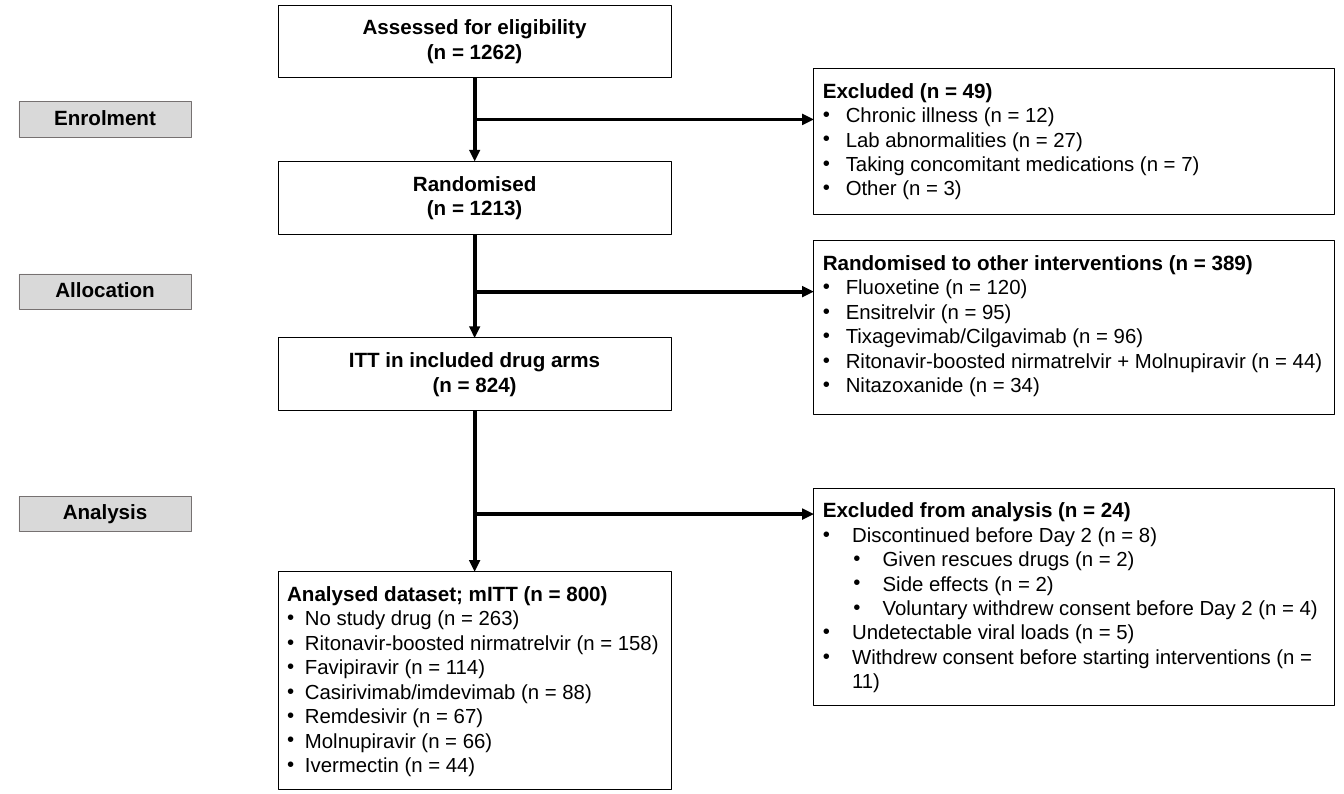
"""Build a trial flow diagram from eligibility to the analysed dataset."""
from lxml.etree import SubElement
from pptx import Presentation
from pptx.dml.color import RGBColor
from pptx.enum.shapes import MSO_CONNECTOR, MSO_SHAPE
from pptx.enum.text import MSO_ANCHOR, PP_ALIGN
from pptx.oxml.ns import qn
from pptx.util import Pt

COLOURS = {"ink": "000000", "paper": "FFFFFF", "stage": "D9D9D9", "stage_edge": "767171"}
SPINE_LEFT, SPINE_WIDTH = 327.6, 463.6
SPINE_CENTRE = SPINE_LEFT + SPINE_WIDTH / 2
SIDE_LEFT, SIDE_WIDTH = 959, 613.4
BULLET_STEP = 36

deck = Presentation()
deck.slide_width, deck.slide_height = Pt(1584), Pt(936)
slide = deck.slides.add_slide(deck.slide_layouts[6])


def add_box(left, top, width, height, headings, items=(), indent=0,
            fill="paper", edge="ink", inset=(10.8, 10.8)):
    box = slide.shapes.add_shape(MSO_SHAPE.RECTANGLE, Pt(left), Pt(top), Pt(width), Pt(height))
    box.shadow.inherit = False
    box.fill.solid()
    box.fill.fore_color.rgb = RGBColor.from_string(COLOURS[fill])
    box.line.color.rgb = RGBColor.from_string(COLOURS[edge])
    box.line.width = Pt(0.75)
    frame = box.text_frame
    frame.word_wrap = True
    frame.vertical_anchor = MSO_ANCHOR.TOP
    frame.margin_left = frame.margin_right = Pt(inset[0])
    frame.margin_top = frame.margin_bottom = Pt(inset[1])
    lines = [(heading, None) for heading in headings] + list(items)
    for number, (text, level) in enumerate(lines):
        paragraph = frame.add_paragraph() if number else frame.paragraphs[0]
        paragraph.text = text
        paragraph.alignment = PP_ALIGN.LEFT if items else PP_ALIGN.CENTER
        paragraph.font.name = "Arial"
        paragraph.font.size = Pt(24.3 if level is None else 24)
        paragraph.font.bold = level is None
        paragraph.font.color.rgb = RGBColor.from_string(COLOURS["ink"])
        if level is not None:
            paragraph.level = level
            properties = paragraph._p.get_or_add_pPr()
            properties.set("marL", str(Pt(indent + level * BULLET_STEP)))
            properties.set("indent", str(-Pt(indent)))
            SubElement(properties, qn("a:buFont"), typeface="Arial")
            SubElement(properties, qn("a:buChar"), char="•")
    return box


def add_arrow(start_x, start_y, end_x, end_y):
    arrow = slide.shapes.add_connector(
        MSO_CONNECTOR.STRAIGHT, Pt(start_x), Pt(start_y), Pt(end_x), Pt(end_y))
    arrow.line.color.rgb = RGBColor.from_string(COLOURS["ink"])
    arrow.line.width = Pt(4.5)
    SubElement(arrow.line._get_or_add_ln(), qn("a:tailEnd"), type="triangle")
    SubElement(arrow._element.spPr, qn("a:effectLst"))
    return arrow


spine = [
    (5.8, 85.7, ["Assessed for eligibility", "(n = 1262)"], []),
    (190.1, 85.7, ["Randomised", "(n = 1213)"], []),
    (398.2, 85.7, ["ITT in included drug arms", "(n = 824)"], []),
    (673.9, 256.3, ["Analysed dataset; mITT (n = 800)"], [
        ("No study drug (n = 263)", 0),
        ("Ritonavir-boosted nirmatrelvir (n = 158)", 0),
        ("Favipiravir (n = 114)", 0),
        ("Casirivimab/imdevimab (n = 88)", 0),
        ("Remdesivir (n = 67)", 0),
        ("Molnupiravir (n = 66)", 0),
        ("Ivermectin (n = 44)", 0),
    ]),
]
previous = None
for top, height, headings, items in spine:
    step = add_box(SPINE_LEFT, top, SPINE_WIDTH, height, headings, items, indent=21)
    if previous:
        descent = add_arrow(SPINE_CENTRE, 0, SPINE_CENTRE, top)
        descent.begin_connect(previous, 2)
        descent.end_connect(step, 0)
    previous = step

stages = [
    ("Enrolment", 140.8, 80.6, 172.1, 27, "Excluded (n = 49)", [
        ("Chronic illness (n = 12)", 0),
        ("Lab abnormalities (n = 27)", 0),
        ("Taking concomitant medications (n = 7)", 0),
        ("Other (n = 3)", 0),
    ]),
    ("Allocation", 343.8, 283.7, 204.5, 27, "Randomised to other interventions (n = 389)", [
        ("Fluoxetine (n = 120)", 0),
        ("Ensitrelvir (n = 95)", 0),
        ("Tixagevimab/Cilgavimab (n = 96)", 0),
        ("Ritonavir-boosted nirmatrelvir + Molnupiravir (n = 44)", 0),
        ("Nitazoxanide (n = 34)", 0),
    ]),
    ("Analysis", 606, 575.3, 256.3, 34.5, "Excluded from analysis (n = 24)", [
        ("Discontinued before Day 2 (n = 8)", 0),
        ("Given rescues drugs (n = 2)", 1),
        ("Side effects (n = 2)", 1),
        ("Voluntary withdrew consent before Day 2 (n = 4)", 1),
        ("Undetectable viral loads (n = 5)", 0),
        ("Withdrew consent before starting interventions (n = 11)", 0),
    ]),
]
for stage, centre, top, height, indent, heading, reasons in stages:
    add_box(22.3, centre - 20.9, 203, 41.8, [stage],
            fill="stage", edge="stage_edge", inset=(7.2, 3.6))
    add_box(SIDE_LEFT, top, SIDE_WIDTH, height, [heading], reasons, indent)
    add_arrow(SPINE_CENTRE, centre, SIDE_LEFT, centre)

deck.save("out.pptx")
